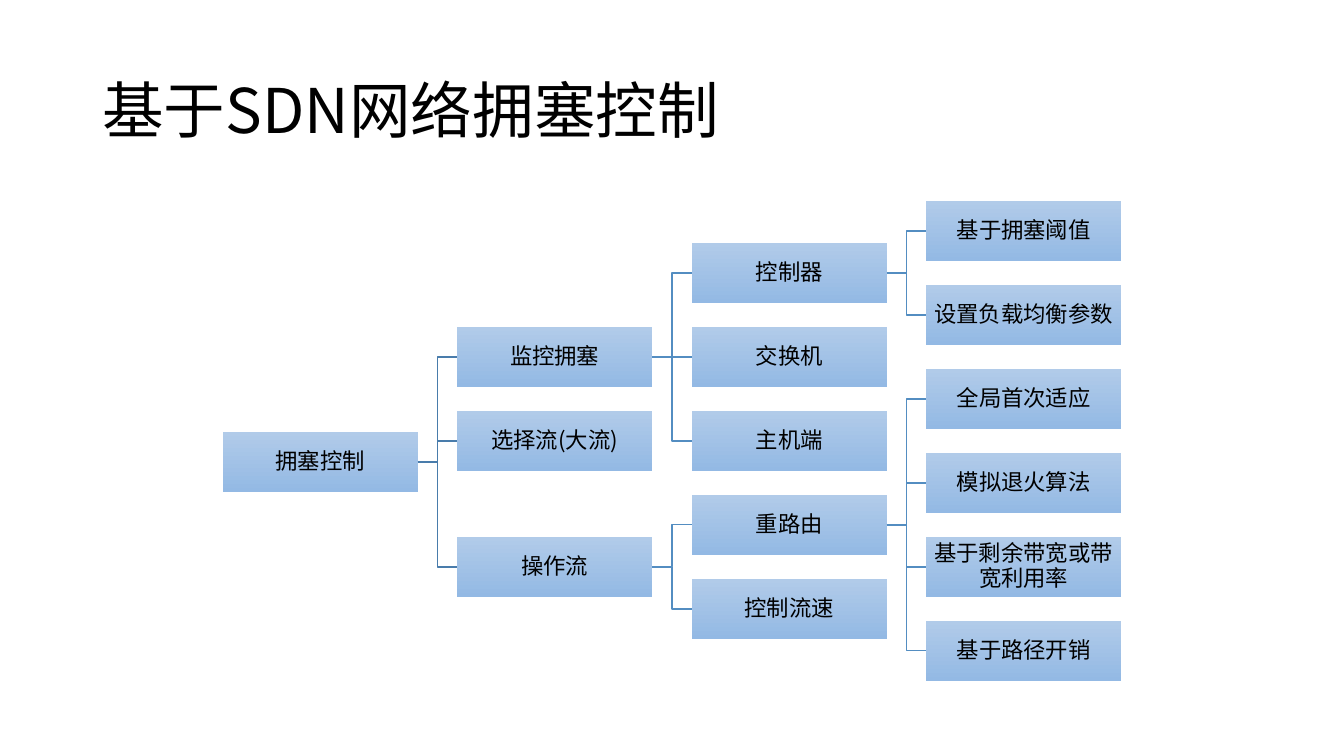
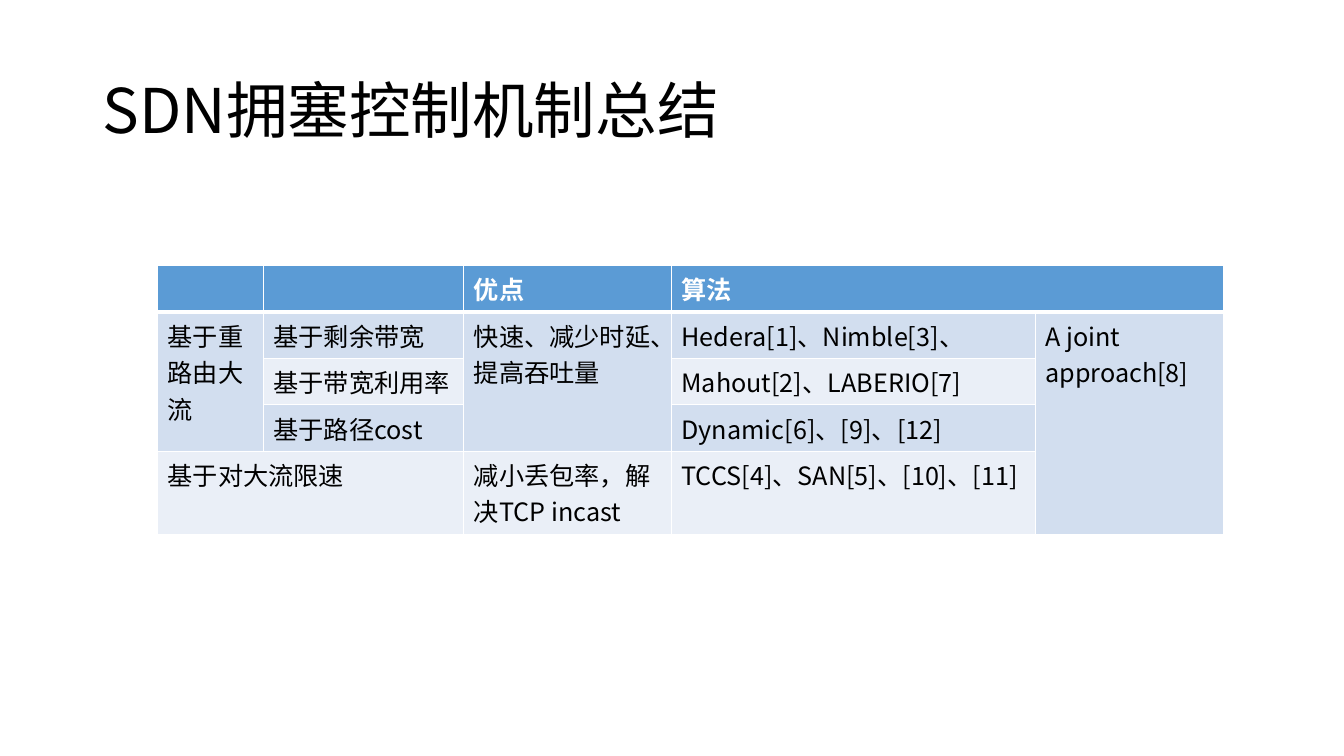
from dataclasses import dataclass

from lxml import etree
from pptx import Presentation
from pptx.dml.color import RGBColor
from pptx.enum.shapes import MSO_CONNECTOR, MSO_SHAPE
from pptx.enum.text import MSO_ANCHOR, PP_ALIGN
from pptx.oxml.ns import qn
from pptx.util import Cm, Pt

ELBOW, STRAIGHT = MSO_CONNECTOR.ELBOW, MSO_CONNECTOR.STRAIGHT
RECT = MSO_SHAPE.RECTANGLE
MIDDLE = MSO_ANCHOR.MIDDLE
LEFT, CENTER = PP_ALIGN.LEFT, PP_ALIGN.CENTER
LEFT_SITE, RIGHT_SITE = 1, 3  # connection sites of a rectangle


@dataclass(frozen=True)
class Theme:
    font: str = "Noto Sans CJK SC"
    title_size: int = 44
    node_size: int = 16
    table_size: int = 18
    text: str = "000000"
    white: str = "FFFFFF"
    node_top: str = "B1CBE9"
    node_bottom: str = "93B9E4"
    root_line: str = "497CAB"
    branch_line: str = "538DC1"
    header: str = "5B9BD5"
    bands: tuple = ("D2DEEF", "EAEFF7")
    rule: int = 1
    header_rule: int = 3


THEME = Theme()

# Boxes are left, top, width, height in centimetres
TITLE_BOX = (2.33, 1.01, 29.21, 3.68)
TREE_BOX = (5.61, 5.07, 22.65, 12.08)
TABLE_BOX = (3.97, 6.69, 26.87, 6.77)

# Each node is its label and its children
TREE = ("拥塞控制", [
    ("监控拥塞", [
        ("控制器", [("基于拥塞阈值", []), ("设置负载均衡参数", [])]),
        ("交换机", []),
        ("主机端", []),
    ]),
    ("选择流(大流)", []),
    ("操作流", [
        ("重路由", [
            ("全局首次适应", []),
            ("模拟退火算法", []),
            ("基于剩余带宽或带宽利用率", []),
            ("基于路径开销", []),
        ]),
        ("控制流速", []),
    ]),
])
TREE_LEVELS, TREE_ROWS = 4, 6
NODE_W, NODE_H = 4.92, 1.5

COL_WIDTHS = (2.67, 5.05, 5.23, 9.17, 4.75)
ROW_HEIGHTS = (1.17, 1.17, 1.17, 1.17, 2.09)  # the last row holds two lines
ROWS = (
    ("", "", "优点", "算法", ""),
    ("基于重路由大流", "基于剩余带宽", "快速、减少时延、提高吞吐量",
     "Hedera[1]、Nimble[3]、", "A joint approach[8]"),
    ("", "基于带宽利用率", "", "Mahout[2]、LABERIO[7]", ""),
    ("", "基于路径cost", "", "Dynamic[6]、[9]、[12]", ""),
    ("基于对大流限速", "", "减小丢包率，解决TCP incast",
     "TCCS[4]、SAN[5]、[10]、[11]", ""),
)
# First and last cell of each merged block, as (row, column)
MERGES = (((0, 3), (0, 4)), ((1, 0), (3, 0)), ((1, 2), (3, 2)),
          ((1, 4), (4, 4)), ((4, 0), (4, 1)))


def rgb(color):
    return RGBColor.from_string(color)


def write(tf, text, size, color=THEME.text, bold=False, align=LEFT, spacing=1.0):
    """Fill a text frame with one styled paragraph."""
    tf.word_wrap = True
    p = tf.paragraphs[0]
    p.text = text
    p.alignment = align
    p.line_spacing = spacing
    p.font.name = THEME.font
    p.font.size = Pt(size)
    p.font.bold = bold
    p.font.color.rgb = rgb(color)
    # East Asian typeface follows the Latin one
    latin = p._p.pPr.find(qn("a:defRPr")).find(qn("a:latin"))
    latin.addnext(etree.Element(qn("a:ea"), typeface=THEME.font))


def add_title(s, box, text):
    tf = s.shapes.add_textbox(*map(Cm, box)).text_frame
    tf.vertical_anchor = MIDDLE
    write(tf, text, THEME.title_size, spacing=0.9)


def add_node(s, left, top, label):
    sp = s.shapes.add_shape(RECT, Cm(left), Cm(top), Cm(NODE_W), Cm(NODE_H))
    sp.shadow.inherit = False
    sp.line.fill.background()
    sp.fill.gradient()
    sp.fill.gradient_angle = 270
    for stop, color in zip(sp.fill.gradient_stops, (THEME.node_top, THEME.node_bottom)):
        stop.color.rgb = rgb(color)
    tf = sp.text_frame
    tf.margin_left = tf.margin_right = tf.margin_top = tf.margin_bottom = Cm(0.03)
    tf.vertical_anchor = MIDDLE
    write(tf, label, THEME.node_size, align=CENTER, spacing=0.9)
    return sp


def link(s, parent, child, color):
    kind = STRAIGHT if parent.top == child.top else ELBOW
    line = s.shapes.add_connector(kind, 0, 0, 0, 0)
    line.begin_connect(parent, RIGHT_SITE)
    line.end_connect(child, LEFT_SITE)
    line.line.color.rgb = rgb(color)
    line.line.width = Pt(1)
    etree.SubElement(line._element.spPr, qn("a:effectLst"))


def add_tree(s, box, tree):
    """Leaves take the next free row of their level; parents are centred."""
    left, top, width, height = box
    col_step = (width - NODE_W) / (TREE_LEVELS - 1)
    row_step = (height - NODE_H) / (TREE_ROWS - 1)
    free_rows = [0] * TREE_LEVELS

    def place(node, level):
        label, children = node
        placed = [place(child, level + 1) for child in children]
        row = (placed[0][1] + placed[-1][1]) / 2 if placed else free_rows[level]
        free_rows[level] = row + 1
        sp = add_node(s, left + level * col_step, top + row * row_step, label)
        color = THEME.branch_line if level else THEME.root_line
        for child, _ in placed:
            link(s, sp, child, color)
        return sp, row

    place(tree, 0)


def set_borders(cell, top, bottom):
    """White rules; top and bottom are widths in points."""
    tcPr = cell._tc.get_or_add_tcPr()
    sides = (("lnL", THEME.rule), ("lnR", THEME.rule), ("lnT", top), ("lnB", bottom))
    for i, (side, width) in enumerate(sides):
        ln = etree.Element(qn("a:" + side), w=str(Pt(width)))
        fill = etree.SubElement(ln, qn("a:solidFill"))
        etree.SubElement(fill, qn("a:srgbClr"), val=THEME.white)
        tcPr.insert(i, ln)


def add_summary_table(s, box, rows):
    table = s.shapes.add_table(len(rows), len(COL_WIDTHS), *map(Cm, box)).table
    for col, width in zip(table.columns, COL_WIDTHS):
        col.width = Cm(width)
    for row, height in zip(table.rows, ROW_HEIGHTS):
        row.height = Cm(height)
    # Cells
    for i, texts in enumerate(rows):
        is_header = i == 0
        fill = THEME.header if is_header else THEME.bands[(i - 1) % 2]
        color = THEME.white if is_header else THEME.text
        top = THEME.header_rule if i == 1 else THEME.rule
        bottom = THEME.header_rule if is_header else THEME.rule
        for j, text in enumerate(texts):
            cell = table.cell(i, j)
            cell.fill.solid()
            cell.fill.fore_color.rgb = rgb(fill)
            set_borders(cell, top, bottom)
            write(cell.text_frame, text, THEME.table_size, color, bold=is_header)
    # Merged blocks
    for first, last in MERGES:
        table.cell(*first).merge(table.cell(*last))


def add_slide(prs, title):
    s = prs.slides.add_slide(prs.slide_layouts[6])
    add_title(s, TITLE_BOX, title)
    return s


def main():
    prs = Presentation()
    prs.slide_width, prs.slide_height = Cm(33.87), Cm(19.05)
    add_tree(add_slide(prs, "基于SDN网络拥塞控制"), TREE_BOX, TREE)
    add_summary_table(add_slide(prs, "SDN拥塞控制机制总结"), TABLE_BOX, ROWS)
    prs.save("out.pptx")


if __name__ == "__main__":
    main()
